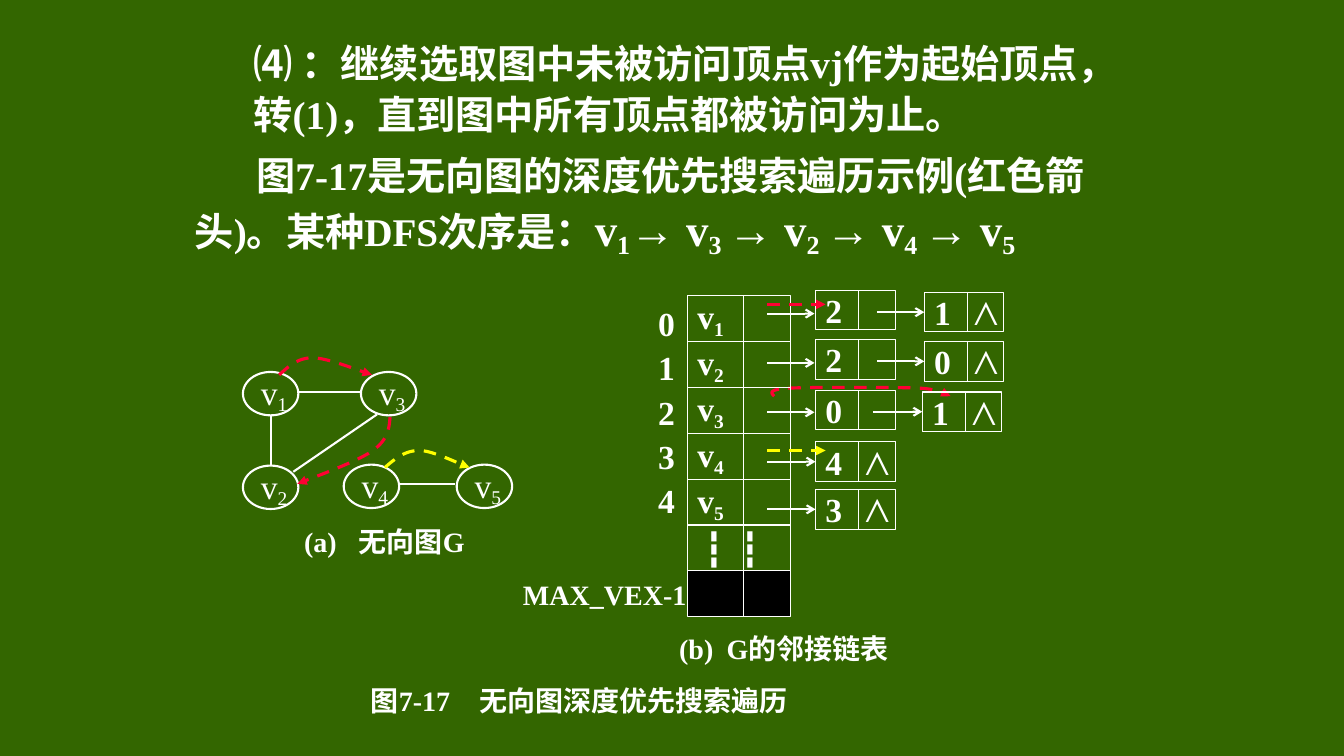
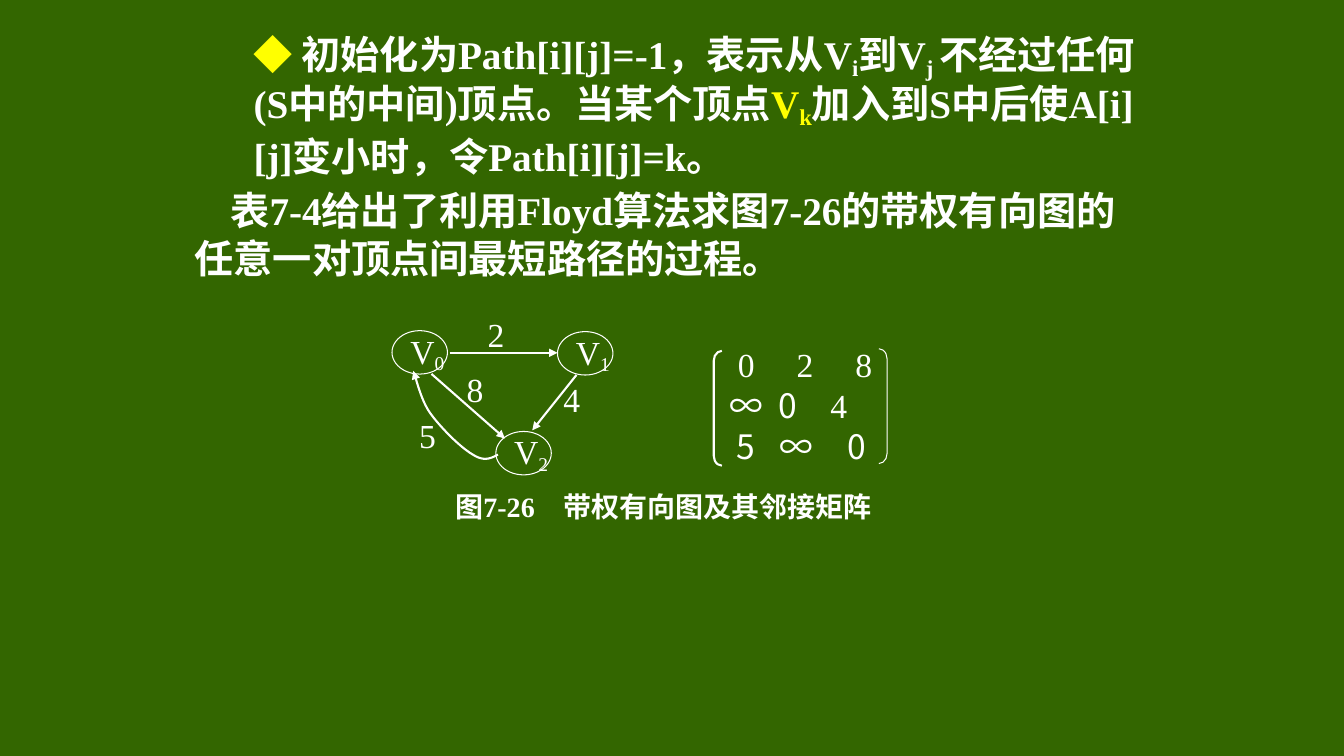
"""Draw two slides on depth-first search and on Floyd's shortest paths."""
from dataclasses import dataclass
from typing import Optional

from lxml.etree import SubElement
from pptx import Presentation
from pptx.dml.color import RGBColor
from pptx.enum.dml import MSO_LINE
from pptx.enum.shapes import MSO_CONNECTOR, MSO_SHAPE
from pptx.enum.text import MSO_ANCHOR, PP_ALIGN
from pptx.oxml.ns import qn
from pptx.util import Pt

COLORS = {"board": "336600", "chalk": "FFFFFF", "red": "FF0033", "yellow": "FFFF00", "black": "000000"}
LATIN, CHINESE = "Times New Roman", "Noto Sans CJK SC"
VERTEX_WIDTH, VERTEX_HEIGHT = 39.6, 31
CURVE_STEPS = 12


@dataclass(frozen=True)
class Span:
    text: str
    base: int = 0
    size: Optional[float] = None
    color: Optional[str] = None
    chinese: Optional[str] = None


@dataclass(frozen=True)
class Para:
    spans: tuple
    size: float = 24
    bold: bool = False
    font: str = LATIN
    align: PP_ALIGN = PP_ALIGN.LEFT
    margin: float = 0
    indent: float = 0
    spacing: Optional[float] = None
    before: float = 0


@dataclass(frozen=True)
class Label:
    left: float
    top: float
    width: float
    height: float
    paras: tuple


@dataclass(frozen=True)
class Caption:
    left: float
    top: float
    number: str
    offset: float
    title: str


@dataclass(frozen=True)
class Vertex:
    left: float
    top: float
    letter: str
    index: str


@dataclass(frozen=True)
class Node:
    left: float
    top: float
    value: str
    last: bool
    arrow_left: float = 548
    arrow_y: Optional[float] = None


@dataclass(frozen=True)
class Stroke:
    points: tuple
    color: str = "chalk"
    width: float = 1.5
    dashed: bool = False
    head: Optional[str] = None


def rgb(name: str) -> RGBColor:
    """Look up a named colour."""
    return RGBColor.from_string(COLORS[name])


def set_typeface(font, latin: str, chinese: str = CHINESE) -> None:
    """Set the Latin and the Chinese typeface."""
    font.name = latin
    SubElement(font._rPr, qn("a:ea")).set("typeface", chinese)


def write(frame, paras: tuple, wrap: bool = True, left: float = 7.2, right: float = 0,
          vertical: float = 0, anchor: MSO_ANCHOR = MSO_ANCHOR.MIDDLE) -> None:
    """Fill a text frame with paragraphs."""
    frame.word_wrap = wrap
    frame.vertical_anchor = anchor
    frame.margin_left, frame.margin_right = Pt(left), Pt(right)
    frame.margin_top = frame.margin_bottom = Pt(vertical)
    for number, para in enumerate(paras):
        target = frame.add_paragraph() if number else frame.paragraphs[0]
        target.alignment = para.align
        if para.spacing:
            target.line_spacing = Pt(para.spacing)
        if para.before:
            target.space_before = Pt(para.before)
        properties = target._p.get_or_add_pPr()
        properties.set("marL", str(Pt(para.margin)))
        properties.set("indent", str(Pt(para.indent)))
        font = target.font
        font.size, font.bold = Pt(para.size), para.bold
        font.color.rgb = rgb("chalk")
        set_typeface(font, para.font)
        for span in para.spans:
            run = target.add_run()
            run.text = span.text
            if span.base:
                run._r.get_or_add_rPr().set("baseline", str(span.base * 1000))
            if span.size:
                run.font.size = Pt(span.size)
            if span.color:
                run.font.color.rgb = rgb(span.color)
            if span.chinese:
                set_typeface(run.font, para.font, span.chinese)


def add_label(page, label: Label) -> None:
    """Add a text box centred vertically on its place."""
    box = page.shapes.add_textbox(Pt(label.left), Pt(label.top), Pt(label.width), Pt(label.height))
    write(box.text_frame, label.paras)


def add_caption(page, caption: Caption) -> None:
    """Add a bold caption as a number and a title."""
    for left, width, text in ((caption.left, caption.offset, caption.number),
                              (caption.left + caption.offset, 245, caption.title)):
        add_label(page, Label(left, caption.top, width, 25.2, (Para((Span(text),), 20, True),)))


def add_body(page, top: float, paras: tuple) -> None:
    """Add the main text of a page."""
    box = page.shapes.add_textbox(Pt(132), Pt(top), Pt(694), Pt(180))
    write(box.text_frame, paras, right=7.2, vertical=3.6, anchor=MSO_ANCHOR.TOP)


def add_outline(page, kind: MSO_SHAPE, left: float, top: float, width: float, height: float,
                line: float = 0.75):
    """Add an unfilled preset shape with a white line."""
    shape = page.shapes.add_shape(kind, Pt(left), Pt(top), Pt(width), Pt(height))
    shape.shadow.inherit = False
    shape.fill.background()
    shape.line.color.rgb, shape.line.width = rgb("chalk"), Pt(line)
    return shape


def add_vertex(page, vertex: Vertex, line: float, inset: float) -> None:
    """Add a graph vertex with its indexed name."""
    oval = add_outline(page, MSO_SHAPE.OVAL, vertex.left, vertex.top, VERTEX_WIDTH, VERTEX_HEIGHT, line)
    name = Para((Span(vertex.letter), Span(vertex.index, -18)), align=PP_ALIGN.CENTER)
    write(oval.text_frame, (name,), wrap=False, left=inset)


def style_line(shape, stroke: Stroke) -> None:
    """Apply colour, width, dash and arrowhead to a line."""
    shape.line.color.rgb, shape.line.width = rgb(stroke.color), Pt(stroke.width)
    if stroke.dashed:
        shape.line.dash_style = MSO_LINE.DASH
    if stroke.head:
        SubElement(shape.line._get_or_add_ln(), qn("a:tailEnd")).set("type", stroke.head)


def add_straight(page, stroke: Stroke, target=None) -> None:
    """Add a straight connector, joined to the left side of its target if there is one."""
    ends = [Pt(value) for point in stroke.points for value in point]
    connector = page.shapes.add_connector(MSO_CONNECTOR.STRAIGHT, *ends)
    if target is not None:
        connector.end_connect(target, 1)
    style_line(connector, stroke)
    SubElement(connector._element.spPr, qn("a:effectLst"))


def bezier(points: tuple, t: float) -> tuple:
    """Return the point at t on a cubic curve."""
    weights = ((1 - t) ** 3, 3 * t * (1 - t) ** 2, 3 * t * t * (1 - t), t ** 3)
    return tuple(Pt(sum(w * point[axis] for w, point in zip(weights, points))) for axis in (0, 1))


def add_curve(page, stroke: Stroke) -> None:
    """Add an open curve through chained cubic segments."""
    points = stroke.points
    builder = page.shapes.build_freeform(Pt(points[0][0]), Pt(points[0][1]))
    builder.add_line_segments(
        [bezier(points[start:start + 4], step / CURVE_STEPS)
         for start in range(0, len(points) - 1, 3) for step in range(1, CURVE_STEPS + 1)], close=False)
    curve = builder.convert_to_shape()
    curve.shadow.inherit = False
    curve.fill.background()
    style_line(curve, stroke)


def add_cell(page, left: float, top: float, width: float, height: float, divider: float,
             spans: tuple = ()):
    """Add a record box split in two fields."""
    box = add_outline(page, MSO_SHAPE.RECTANGLE, left, top, width, height)
    if spans:
        write(box.text_frame, (Para(spans, bold=True),), wrap=False)
    x = left + divider
    add_straight(page, Stroke(((x, top), (x, top + height)), width=0.75))
    return box


def add_node(page, node: Node) -> None:
    """Add a list node and the arrow that leads to it."""
    height = 28.2
    box = add_cell(page, node.left, node.top, 56.9, height, 31, (Span(node.value),))
    if node.last:
        add_label(page, Label(node.left + 28.3, node.top, 34, height, (Para((Span("⋀"),)),)))
    y = node.arrow_y or node.top + height / 2
    arrow = Stroke(((node.arrow_left, y), (node.left - 0.7, y)), head="arrow")
    add_straight(page, arrow, None if node.arrow_y else box)


def add_page(deck):
    """Add a blank page with the green board."""
    page = deck.slides.add_slide(deck.slide_layouts[6])
    page.background.fill.solid()
    page.background.fill.fore_color.rgb = rgb("board")
    return page


def draw_search(page) -> None:
    """Draw the depth-first search page."""
    order = [Span("v", size=32), Span("1", -18, 32)]
    for index in ("3 ", "2 ", "4 ", "5"):
        order += [Span("→ v", size=32, chinese=LATIN), Span(index, -18, 32, chinese=LATIN)]
    add_body(page, 21.6, (
        Para((Span("⑷ ：继续选取图中未被访问顶点vj作为起始顶点，转(1)，直到图中所有顶点都被访问为止。"),),
             28, True, margin=42, spacing=36.5),
        Para((Span("图7-17是无向图的深度优先搜索遍历示例(红色箭头)。某种DFS次序是："), *order),
             28, True, indent=44, spacing=43.7)))
    for caption in (Caption(257.8, 487.4, "图7-17", 77.5, "无向图深度优先搜索遍历"),
                    Caption(210.2, 373.7, "(a)", 39, "无向图G"),
                    Caption(478, 450.7, "(b)", 34, "G的邻接链表")):
        add_caption(page, caption)
    add_label(page, Label(366.5, 410.4, 124.6, 28, (Para((Span("MAX_VEX-1"),), 20, True),)))
    add_label(page, Label(463, 209.5, 28, 166.3, tuple(
        Para((Span(str(row)),), bold=True, spacing=31.7) for row in range(5))))
    for vertex in (Vertex(173.5, 265.7, "v", "1"), Vertex(173.5, 332.6, "v", "2"),
                   Vertex(257.8, 265.7, "v", "3"), Vertex(245.5, 331.9, "v", "4"),
                   Vertex(326.2, 331.9, "v", "5")):
        add_vertex(page, vertex, 1.5, 5)
    for points in (((193.5, 296.7), (193.5, 332.6)), ((209.5, 337), (269.3, 296)),
                   ((213.1, 280), (258.5, 280)), ((285.1, 345.6), (324.7, 345.6))):
        add_straight(page, Stroke(points))
    for color, points in (
            ("red", ((199.4, 267.8), (206, 262), (212.4, 255.6), (223.2, 255.6),
                     (234.7, 255.6), (258.5, 265.7), (265.7, 267.8))),
            ("red", ((278.6, 298), (278, 306), (277.2, 314), (266.4, 321.8),
                     (255.6, 329.8), (221, 342), (212.4, 345.6))),
            ("yellow", ((275, 334), (282.2, 327.6), (289.4, 321.8), (299.5, 321.8),
                        (309.6, 321.8), (329, 332), (335.5, 334))),
            ("red", ((553, 283), (550.8, 280.8), (548, 278), (565.2, 277.2), (581.8, 276.5),
                     (635.8, 276.5), (655.2, 277.2), (673.9, 278), (675.4, 282.2), (679, 283)))):
        add_curve(page, Stroke(points, color, 2.25, True, "triangle"))
    step = 32.8
    names = [(Span("v"), Span(str(number), -20)) for number in range(1, 6)]
    for number, spans in enumerate(names + [(), ()]):
        row = add_cell(page, 491, 211 + number * step, 73.4, step, 40.4, spans)
    row.fill.solid()
    row.fill.fore_color.rgb = rgb("black")
    for left, bold in ((495.7, False), (521.4, True)):
        add_label(page, Label(left, 211 + 5 * step, 34, step, (Para((Span("┇"),), bold=bold),)))
    for node in (Node(582.5, 207.5, "2", False, arrow_y=224), Node(660.2, 208.9, "1", True, 626.4),
                 Node(582.5, 242.6, "2", False, arrow_y=259.2), Node(660.2, 244, "0", True, 626.4),
                 Node(582.5, 278.6, "0", False, arrow_y=294.5), Node(658.8, 280, "1", True, 623.5),
                 Node(582.5, 315.7, "4", True), Node(582.5, 349.7, "3", True)):
        add_node(page, node)
    for color, y in (("red", 217.4), ("yellow", 321.8)):
        add_straight(page, Stroke(((548, y), (589.7, y)), color, 2.25, True, "triangle"))


def draw_paths(page) -> None:
    """Draw the shortest path page."""
    add_body(page, 18.8, (
        Para((Span("◆", color="yellow"), Span(" 初始化为Path[i][j]=-1，表示从V"), Span("i", -18),
              Span("到V"), Span("j ", -18), Span("不经过任何(S中的中间)顶点。当某个顶点"),
              Span("V", color="yellow"), Span("k", -18, color="yellow"),
              Span("加入到S中后使A[i][j]变小时，令Path[i][j]=k。")), 28, True, margin=42, spacing=35.3),
        Para((Span("表7-4给出了利用Floyd算法求图7-26的带权有向图的任意一对顶点间最短路径的过程。"),),
             28, True, indent=25.5, spacing=34.3, before=4)))
    add_caption(page, Caption(318.2, 349.2, "图7-26", 77, "带权有向图及其邻接矩阵"))
    matrix = (((6, "0", LATIN), (48, "2", LATIN), (90, "8", LATIN)),
              ((0, "∞", CHINESE), (35, "0", CHINESE), (72, "4", LATIN)),
              ((5, "5", CHINESE), (36, "∞", CHINESE), (84, "0", CHINESE)))
    for number, row in enumerate(matrix):
        for offset, value, font in row:
            add_label(page, Label(514 + offset, 247.7 + number * 29.2, 36, 25.2,
                                  (Para((Span(value),), font=font),)))
    for kind, left, top, line in ((MSO_SHAPE.LEFT_BRACKET, 509.8, 250.6, 1.5),
                                  (MSO_SHAPE.RIGHT_BRACKET, 627.8, 249.1, 0.75)):
        add_outline(page, kind, left, top, 5.8, 82, line).adjustments[0] = 1.22
    for vertex in (Vertex(280, 236.2, "V", "0"), Vertex(398.2, 236.9, "V", "1"),
                   Vertex(354.2, 308.2, "V", "2")):
        add_vertex(page, vertex, 0.75, 11)
    for points in (((411.8, 267.8), (380.2, 307.4)), ((308.2, 267.1), (360.7, 313.2)),
                   ((321.1, 252), (398.2, 252))):
        add_straight(page, Stroke(points, head="triangle"))
    add_curve(page, Stroke(((355.7, 324.7), (350.6, 327.6), (345.6, 329.8), (337.7, 324.7),
                            (329, 319.7), (314.6, 305.3), (307.4, 295.2),
                            (300.2, 285.1), (297.4, 270), (295.2, 265)), head="triangle"))
    for left, top, weight in ((395.3, 270.7, "4"), (326.2, 264.2, "8"),
                              (341.3, 224.6, "2"), (292.3, 296.6, "5")):
        add_label(page, Label(left, top, 28, 28, (Para((Span(weight),)),)))


def main() -> None:
    """Build and save the deck."""
    deck = Presentation()
    deck.slide_width, deck.slide_height = Pt(960), Pt(540)
    for draw in (draw_search, draw_paths):
        draw(add_page(deck))
    deck.save("out.pptx")


if __name__ == "__main__":
    main()
